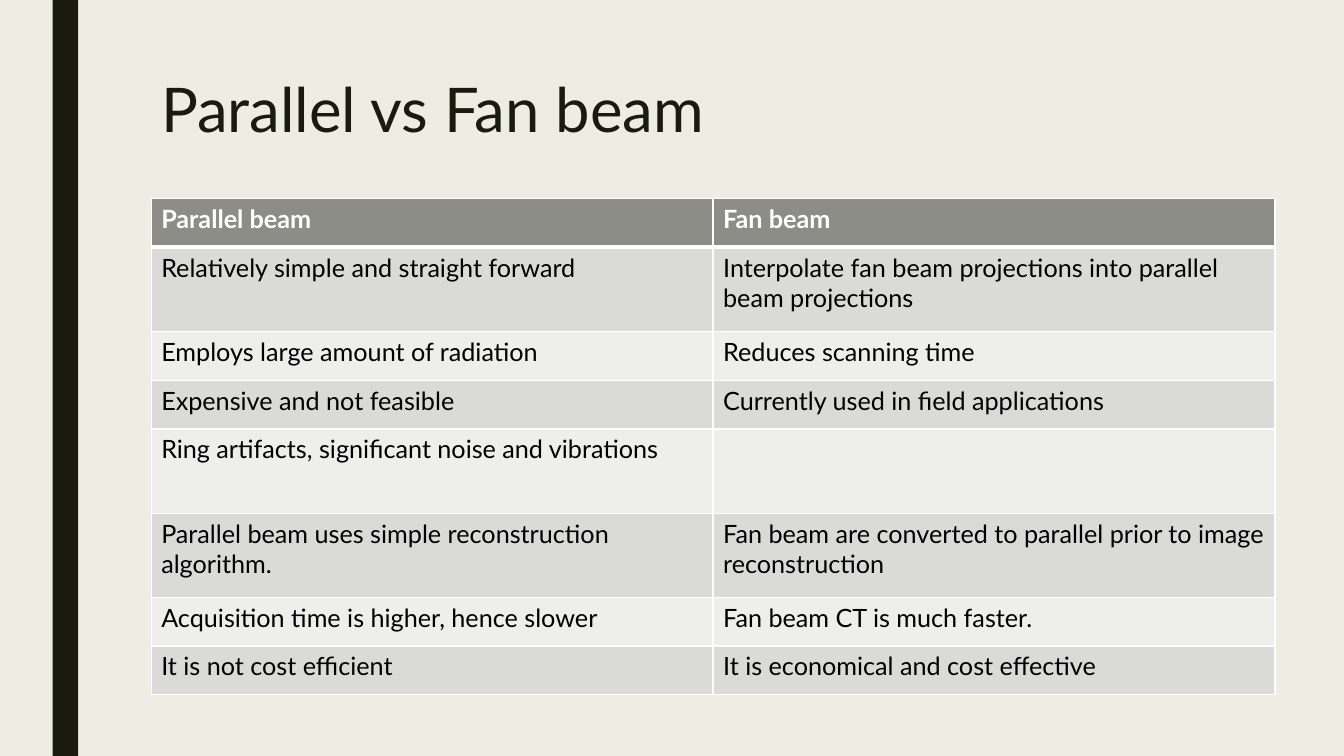
"""Build the slide that compares parallel and fan beam scanning in a table."""
from dataclasses import dataclass

import lxml.etree
import pptx
import pptx.dml.color
import pptx.enum.shapes
import pptx.enum.text
import pptx.oxml.ns
import pptx.slide
import pptx.table
import pptx.text.text
import pptx.util

Cm = pptx.util.Cm
FONT = "Lato"
COLOURS = {
    "background": "EFEDE3",
    "dark": "191B0E",
    "header": "8C8D86",
    "odd": "DADBD9",
    "even": "EEEEED",
    "white": "FFFFFF",
    "black": "000000",
}
SINGLE, DOUBLE = Cm(1.23), Cm(2.12)
COLUMN_WIDTH = Cm(14.16)


@dataclass(frozen=True)
class Comparison:
    parallel: str
    fan: str
    height: pptx.util.Length = SINGLE


COMPARISONS = [
    Comparison("Parallel beam", "Fan beam"),
    Comparison("Relatively simple and straight forward",
               "Interpolate fan beam projections into parallel beam projections", DOUBLE),
    Comparison("Employs large amount of radiation", "Reduces scanning time"),
    Comparison("Expensive and not feasible", "Currently used in field applications"),
    Comparison("Ring artifacts, significant noise and vibrations", "", DOUBLE),
    Comparison("Parallel beam uses simple reconstruction algorithm.",
               "Fan beam are converted to parallel prior to image reconstruction", DOUBLE),
    Comparison("Acquisition time is higher, hence slower", "Fan beam CT is much faster."),
    Comparison("It is not cost efficient", "It is economical and cost effective"),
]


def colour(name: str) -> pptx.dml.color.RGBColor:
    return pptx.dml.color.RGBColor.from_string(COLOURS[name])


def add_span(para: pptx.text.text._Paragraph, text: str, size: int, tint: str,
             bold: bool = False) -> None:
    span = para.add_run()
    span.text = text
    span.font.name = FONT
    span.font.size = pptx.util.Pt(size)
    span.font.bold = bold
    span.font.color.rgb = colour(tint)


def add_borders(cell: pptx.table._Cell, top: int, bottom: int) -> None:
    properties = cell._tc.get_or_add_tcPr()
    for side, width in {"L": 1, "R": 1, "T": top, "B": bottom}.items():
        line = lxml.etree.SubElement(properties, pptx.oxml.ns.qn(f"a:ln{side}"),
                                     w=str(pptx.util.Pt(width)))
        fill = lxml.etree.SubElement(line, pptx.oxml.ns.qn("a:solidFill"))
        lxml.etree.SubElement(fill, pptx.oxml.ns.qn("a:srgbClr"), val=COLOURS["white"])


def add_side_bar(page: pptx.slide.Slide, height: pptx.util.Length) -> None:
    bar = page.shapes.add_shape(pptx.enum.shapes.MSO_SHAPE.RECTANGLE,
                                Cm(1.33), 0, Cm(0.64), height)
    bar.shadow.inherit = False
    bar.fill.solid()
    bar.fill.fore_color.rgb = colour("dark")
    bar.line.fill.background()


def add_title(page: pptx.slide.Slide, text: str) -> None:
    box = page.shapes.add_textbox(Cm(3.81), Cm(1.9), Cm(26.67), Cm(4.11))
    box.text_frame.word_wrap = True
    box.text_frame.vertical_anchor = pptx.enum.text.MSO_ANCHOR.TOP
    para = box.text_frame.paragraphs[0]
    para.line_spacing = 0.89
    add_span(para, text, 44, "dark")


def add_comparison_table(page: pptx.slide.Slide, comparisons: list[Comparison]) -> None:
    table = page.shapes.add_table(len(comparisons), 2, Cm(3.81), Cm(5), 2 * COLUMN_WIDTH,
                                  sum(entry.height for entry in comparisons)).table
    for column in table.columns:
        column.width = COLUMN_WIDTH
    for index, entry in enumerate(comparisons):
        header = index == 0
        table.rows[index].height = entry.height
        for cell, text in zip(table.rows[index].cells, (entry.parallel, entry.fan)):
            add_borders(cell, top=3 if index == 1 else 1, bottom=3 if header else 1)
            cell.fill.solid()
            cell.fill.fore_color.rgb = colour(
                "header" if header else "odd" if index % 2 else "even")
            if text:
                add_span(cell.text_frame.paragraphs[0], text, 18,
                         "white" if header else "black", header)


def main() -> None:
    deck = pptx.Presentation()
    deck.slide_width, deck.slide_height = Cm(33.87), Cm(19.05)
    page = deck.slides.add_slide(deck.slide_layouts[6])
    page.background.fill.solid()
    page.background.fill.fore_color.rgb = colour("background")
    add_side_bar(page, deck.slide_height)
    add_title(page, "Parallel vs Fan beam")
    add_comparison_table(page, COMPARISONS)
    deck.save("out.pptx")


if __name__ == "__main__":
    main()
